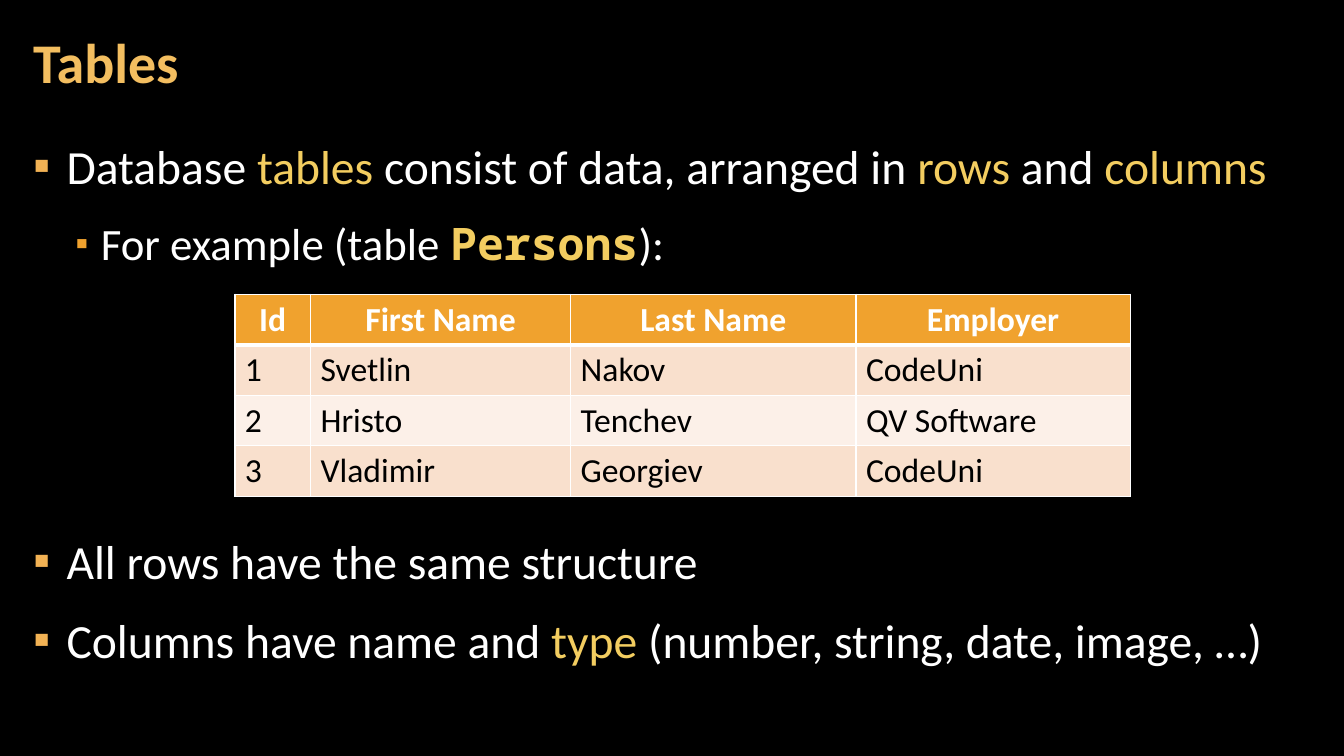
from lxml import etree
from pptx import Presentation
from pptx.dml.color import RGBColor
from pptx.enum.text import MSO_ANCHOR as Anchor, PP_ALIGN as Align
from pptx.oxml.ns import qn
from pptx.util import Inches, Pt

WHITE, BLACK, GOLD = "FFFFFF", "000000", "F3CD60"
ORANGE, TITLE_GOLD, BULLET_GOLD = "F0A22E", "F3BE60", "F2B254"
BANDS = ["F9E0CD", "FCF0E8"]


def color(hex_string):
    return RGBColor.from_string(hex_string)


def add_text(paragraph, text, size, fill=WHITE, font="Calibri", bold=False):
    run = paragraph.add_run()
    run.text = text
    run.font.name = font
    run.font.size = Pt(size)
    run.font.bold = bold
    run.font.color.rgb = color(fill)


presentation = Presentation()
presentation.slide_width, presentation.slide_height = Inches(13.33), Inches(7.5)
slide = presentation.slides.add_slide(presentation.slide_layouts[6])
slide.background.fill.solid()
slide.background.fill.fore_color.rgb = color(BLACK)

# Title and body boxes
frames = []
for left, top, width, height, anchor in [
    (0.21, 0.04, 10.47, 1.21, Anchor.MIDDLE),
    (0.21, 1.26, 12.91, 6.09, Anchor.TOP),
]:
    shape = slide.shapes.add_textbox(*map(Inches, (left, top, width, height)))
    frame = shape.text_frame
    frame.word_wrap = True
    frame.vertical_anchor = anchor
    frame.margin_left = frame.margin_right = Inches(0.12)
    frame.margin_top = frame.margin_bottom = Inches(0.04)
    frames.append(frame)
title, body = frames

title.paragraphs[0].line_spacing = 0.9
add_text(title.paragraphs[0], "Tables", 40, TITLE_GOLD, bold=True)

# Bullets: level, space before, runs of (text, format)
gold = {"fill": GOLD}
code = {"fill": GOLD, "font": "Noto Sans Mono", "bold": True}
bullets = [
    (0, 0, [("Database ", {}), ("tables ", gold),
            ("consist of data, arranged in ", {}), ("rows", gold),
            (" and ", {}), ("columns", gold)]),
    (1, 6, [("For example (table ", {}), ("Persons", code), ("):", {})]),
    (0, 177, [("All rows have the same structure", {})]),  # room for the table
    (0, 6, [("Columns have name and ", {}), ("type ", gold),
            ("(number, string, date, image, …)", {})]),
]
# Text size, left margin, hanging indent, bullet colour, bullet size by level
levels = [(34, 0.33, 0.33, BULLET_GOLD, 100), (32, 0.67, 0.25, ORANGE, 80)]
for index, (level, space_before, runs) in enumerate(bullets):
    size, margin, hanging, bullet_color, bullet_size = levels[level]
    paragraph = body.add_paragraph() if index else body.paragraphs[0]
    paragraph.level = level
    paragraph.line_spacing = 1.1
    paragraph.space_before, paragraph.space_after = Pt(space_before), Pt(6)
    properties = paragraph._p.get_or_add_pPr()
    properties.set("marL", str(Inches(margin)))
    properties.set("indent", str(-Inches(hanging)))
    bullet_fill = etree.SubElement(properties, qn("a:buClr"))
    etree.SubElement(bullet_fill, qn("a:srgbClr"), val=bullet_color)
    etree.SubElement(properties, qn("a:buSzPct"), val=str(bullet_size * 1000))
    etree.SubElement(properties, qn("a:buFont"), typeface="Calibri")
    etree.SubElement(properties, qn("a:buChar"), char="▪")
    for text, text_format in runs:
        add_text(paragraph, text, size, **text_format)

# Persons table
persons = [
    ("Id", "First Name", "Last Name", "Employer"),
    ("1", "Svetlin", "Nakov", "CodeUni"),
    ("2", "Hristo", "Tenchev", "QV Software"),
    ("3", "Vladimir", "Georgiev", "CodeUni"),
]
column_widths = [0.75, 2.58, 2.83, 2.72]
row_height = 0.5
table = slide.shapes.add_table(
    len(persons), len(column_widths), Inches(2.33), Inches(2.92),
    Inches(sum(column_widths)), Inches(row_height * len(persons))).table
for column, width in zip(table.columns, column_widths):
    column.width = Inches(width)

for row_index, person in enumerate(persons):
    header = row_index == 0
    for column_index, value in enumerate(person):
        cell = table.cell(row_index, column_index)
        paragraph = cell.text_frame.paragraphs[0]
        paragraph.alignment = Align.CENTER if header else Align.LEFT
        add_text(paragraph, value, 24, WHITE if header else BLACK, bold=header)

        # Borders go before the fill; the line under the header is thicker
        cell_properties = cell._tc.get_or_add_tcPr()
        for side in ("L", "R", "T", "B"):
            under_header = (row_index, side) in [(0, "B"), (1, "T")]
            border = etree.SubElement(cell_properties, qn(f"a:ln{side}"),
                                      w=str(Pt(3 if under_header else 1)))
            border_fill = etree.SubElement(border, qn("a:solidFill"))
            etree.SubElement(border_fill, qn("a:srgbClr"), val=WHITE)
        cell.fill.solid()
        cell.fill.fore_color.rgb = color(ORANGE if header else BANDS[(row_index - 1) % 2])

presentation.save("out.pptx")
